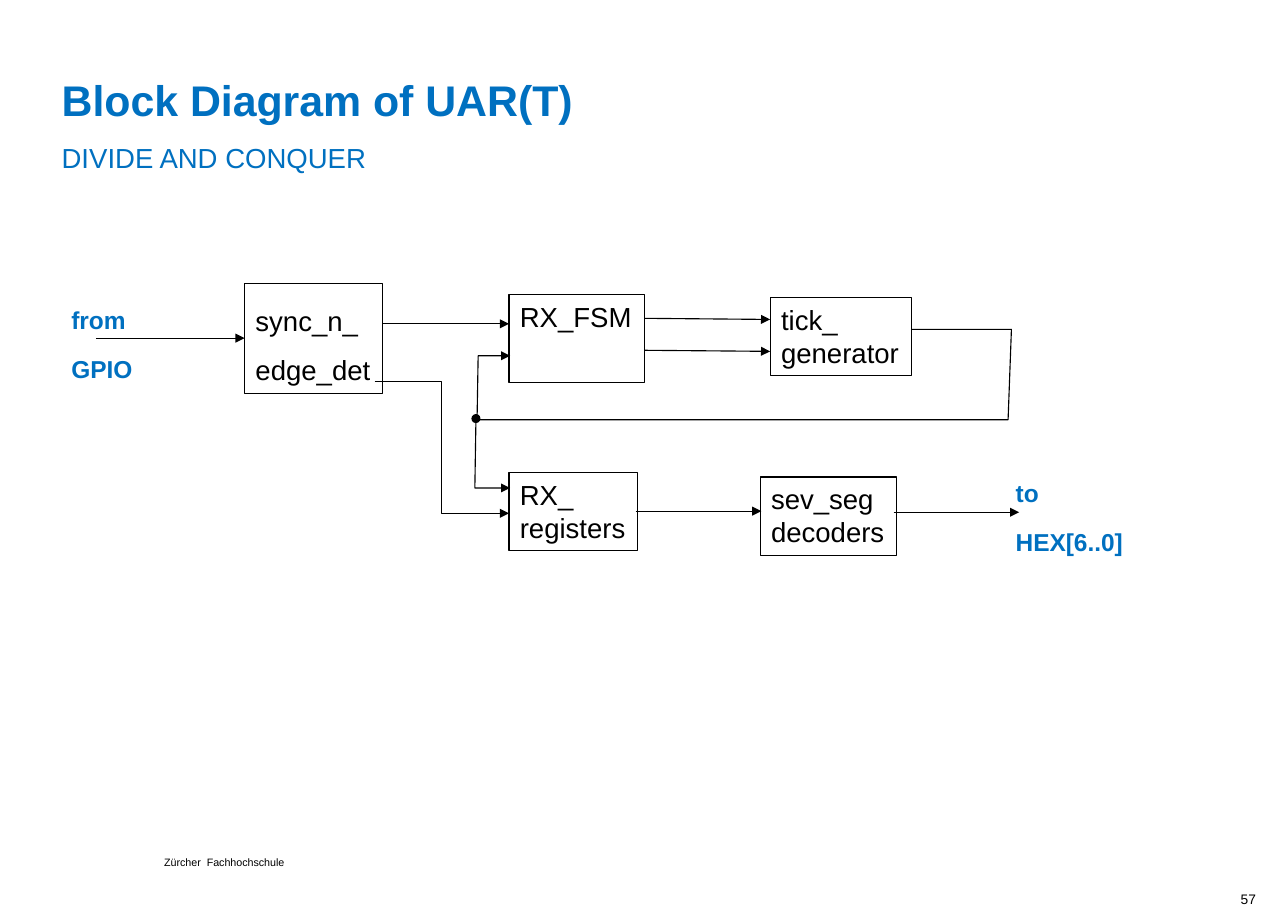
import pptx
import pptx.util
import pptx.dml.color
import pptx.enum.shapes
import pptx.enum.text
import pptx.oxml.ns
import lxml.etree

PX = 9144
COLORS = {"ink": "000000", "blue": "0070C0"}
BLOCKS = [
    ("sync_n_\vedge_det", (172, 7, 125, 100), 32),
    ("RX_FSM", (412, 17, 123, 80), None),
    ("tick_\vgenerator", (649, 20, 128, 71), None),
    ("RX_\vregisters", (412, 179, 117, 71), None),
    ("sev_seg\vdecoders", (640, 183, 124, 71), None),
]
PORTS = [("from\vGPIO", (5, 4, 76, 100)), ("to\vHEX[6..0]", (862, 161, 119, 100))]
ARROWS = [
    (37, 57, 172, 57),
    (298, 44, 412, 44),
    (535, 39, 649, 40),
    (535, 68, 649, 69),
    (527, 214, 641, 214),
    (761, 215, 875, 215),
]
SYNC_TO_REGISTERS = (290, 96, 412, 216)
TICK_FEEDBACK = [(777, 49), (868, 49), (865, 131), (383, 131), (384, 73), (413, 73)]
TICK_BRANCH = [(382, 130), (381, 193), (413, 193)]


def rgb(name):
    return pptx.dml.color.RGBColor.from_string(COLORS[name])


def emu(*lengths):
    return [v * PX for v in lengths]


def style(p, size, color="ink", bold=False, spacing=None):
    p.font.name = "Arial"
    p.font.size = pptx.util.Pt(size)
    p.font.bold = bold
    p.font.color.rgb = rgb(color)
    if spacing:
        p.line_spacing = pptx.util.Pt(spacing)


def frame(sp, text, wrap=False, inset=True):
    tf = sp.text_frame
    tf.word_wrap = wrap
    tf.vertical_anchor = pptx.enum.text.MSO_ANCHOR.TOP
    if not inset:
        tf.margin_left = tf.margin_top = tf.margin_right = tf.margin_bottom = 0
    p = tf.paragraphs[0]
    p.text = text
    p.alignment = pptx.enum.text.PP_ALIGN.LEFT
    return p


def outline(sp):
    sp.line.color.rgb = rgb("ink")
    sp.line.width = pptx.util.Pt(0.75)


def wire(sp, head=None):
    outline(sp)
    qn = pptx.oxml.ns.qn
    spPr = sp.element.spPr
    ln = spPr.find(qn("a:ln"))
    if head:
        lxml.etree.SubElement(ln, qn("a:headEnd"), type=head)
    lxml.etree.SubElement(ln, qn("a:tailEnd"), type="triangle")
    lxml.etree.SubElement(spPr, qn("a:effectLst"))


def connect(s, x, y, ends, kind):
    x1, y1, x2, y2 = ends
    wire(s.shapes.add_connector(kind, *emu(x + x1, y + y1, x + x2, y + y2)))


def polyline(s, x, y, points, head=None):
    start, *rest = [(x + px, y + py) for px, py in points]
    builder = s.shapes.build_freeform(*start, scale=PX)
    builder.add_line_segments(rest, close=False)
    sp = builder.convert_to_shape()
    sp.fill.background()
    wire(sp, head)


def header(s, box):
    sp = s.shapes.add_textbox(*emu(*box))
    p = frame(sp, "", wrap=True, inset=False)
    p.line_spacing = pptx.util.Pt(32)
    for text, size, bold in (("Block Diagram of UAR(T)", 28, True), ("DIVIDE AND CONQUER", 18, False)):
        if p.runs:
            p.add_line_break()
        r = p.add_run()
        r.text = text
        r.font.name = "Arial"
        r.font.size = pptx.util.Pt(size)
        r.font.bold = bold
        r.font.color.rgb = rgb("blue")


def diagram(s, box):
    x, y = box[:2]
    kinds = pptx.enum.shapes.MSO_CONNECTOR
    for text, (bx, by, w, h), spacing in BLOCKS:
        sp = s.shapes.add_shape(pptx.enum.shapes.MSO_SHAPE.RECTANGLE, *emu(x + bx, y + by, w, h))
        sp.shadow.inherit = False
        sp.fill.background()
        outline(sp)
        style(frame(sp, text), 18, spacing=spacing)
    for ends in ARROWS:
        connect(s, x, y, ends, kinds.STRAIGHT)
    connect(s, x, y, SYNC_TO_REGISTERS, kinds.ELBOW)
    polyline(s, x, y, TICK_FEEDBACK)
    polyline(s, x, y, TICK_BRANCH, head="oval")
    for text, (bx, by, w, h) in PORTS:
        sp = s.shapes.add_textbox(*emu(x + bx, y + by, w, h))
        style(frame(sp, text), 16, "blue", bold=True, spacing=32)


def footer(s, box):
    x, y, w, h = box
    sp = s.shapes.add_textbox(*emu(x, y, 132, 10))
    style(frame(sp, "Zürcher  Fachhochschule", inset=False), 7, spacing=7)
    sp = s.shapes.add_textbox(*emu(x + w - 133, y + h - 21, 133, 21))
    p = frame(sp, "57", wrap=True, inset=False)
    p.alignment = pptx.enum.text.PP_ALIGN.RIGHT
    sp.text_frame.vertical_anchor = pptx.enum.text.MSO_ANCHOR.BOTTOM
    style(p, 9)


def main():
    prs = pptx.Presentation()
    prs.slide_width, prs.slide_height = emu(1169, 827)
    s = prs.slides.add_slide(prs.slide_layouts[6])
    header(s, (56, 69, 827, 78))
    diagram(s, (50, 250, 981, 261))
    footer(s, (149, 779, 991, 45))
    prs.save("out.pptx")


if __name__ == "__main__":
    main()
